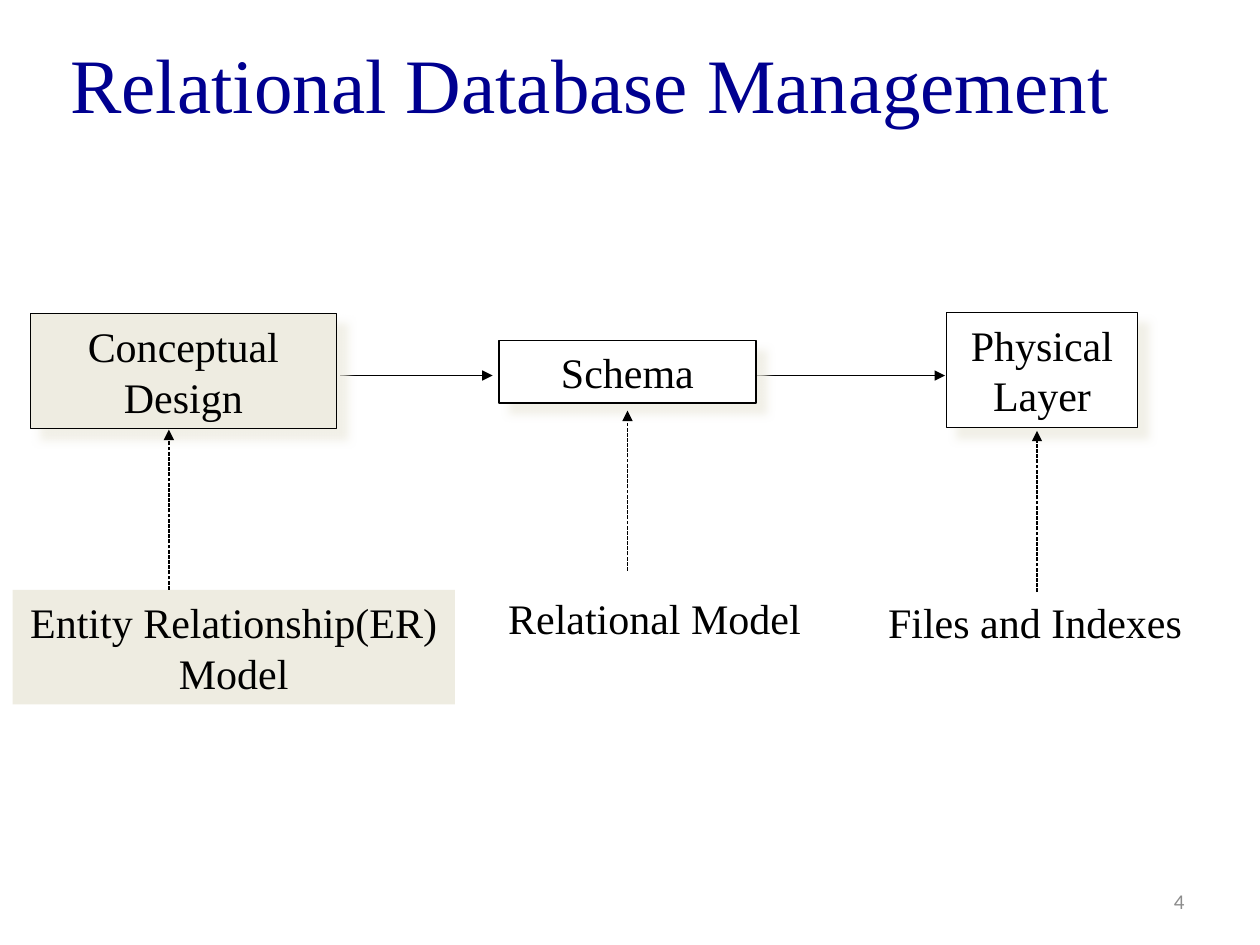
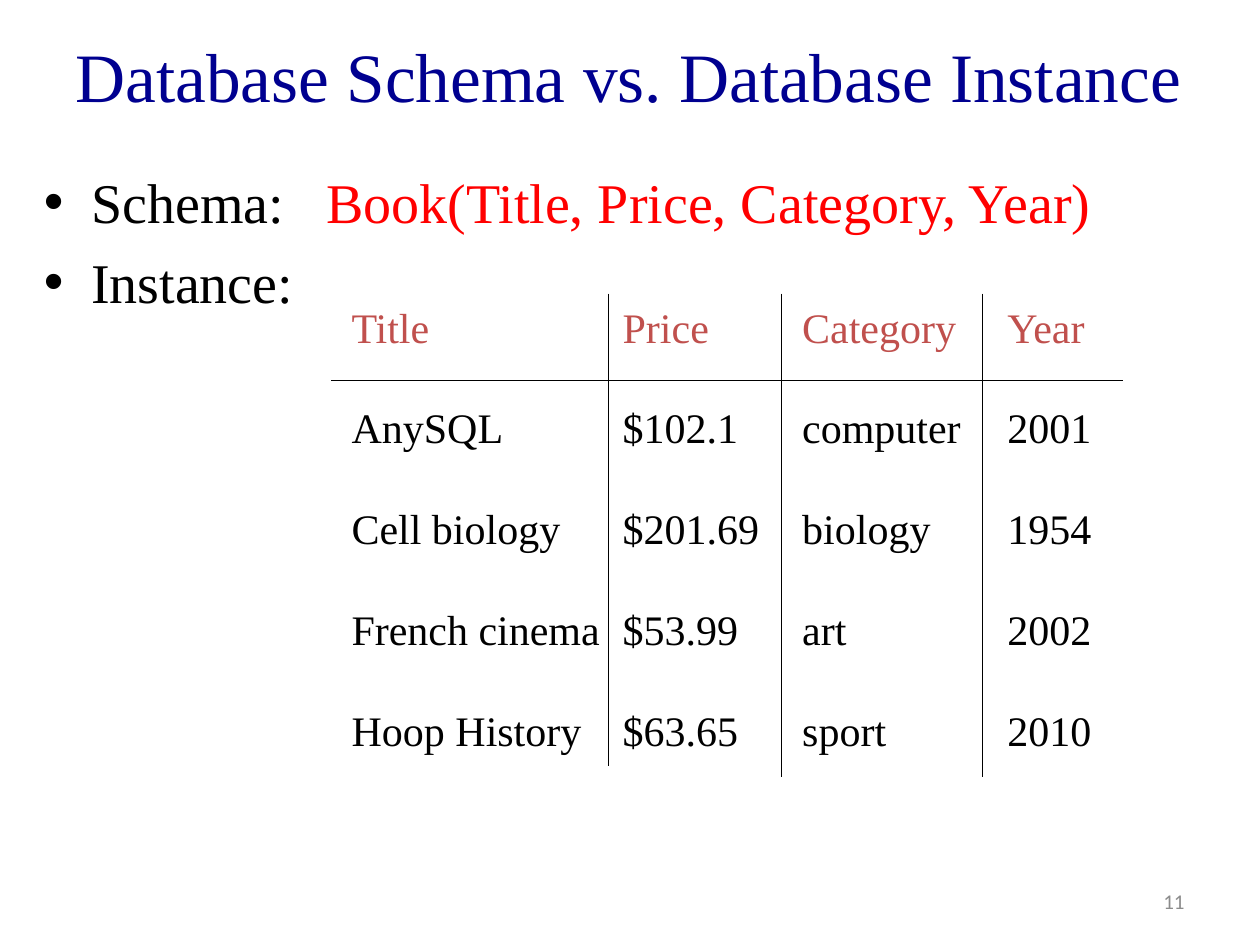
from lxml.etree import SubElement
from pptx import Presentation
from pptx.dml.color import RGBColor
from pptx.enum.dml import MSO_LINE
from pptx.enum.shapes import MSO_CONNECTOR, MSO_SHAPE
from pptx.enum.text import MSO_ANCHOR, MSO_AUTO_SIZE, PP_ALIGN
from pptx.oxml.ns import qn
from pptx.util import Pt

SERIF = "Times New Roman"
NAVY, BLACK, WHITE, BEIGE = "000090", "000000", "FFFFFF", "EEECE1"
RED, BRICK, GRAY = "FF0000", "C0504D", "8C8C8C"

STAGES = [
    ("Conceptual Design", 17.3, 179.3, 175, 65.5, BEIGE),
    ("Schema", 285.1, 194.4, 146.9, 36, WHITE),
    ("Physical Layer", 540.7, 178.6, 109.4, 65.5, WHITE),
]
MODELS = [
    ("Entity Relationship(ER) Model", 7.2, 337, 252.7, 65.5, BEIGE),
    ("Relational Model", 259.2, 334.8, 229.7, 36, WHITE),
    ("Files and Indexes", 476.6, 337, 229.7, 36, WHITE),
]
FLOW_ARROWS = [(194.4, 281.5), (432, 540)]
MODEL_ARROWS = [(96.5, 337, 245.5), (358.6, 326.2, 234.7), (592.6, 338.4, 246.2)]

BOOKS = [
    ("Title", "Price", "Category", "Year"),
    ("AnySQL", "$102.1", "computer", "2001"),
    ("Cell biology", "$201.69", "biology", "1954"),
    ("French cinema", "$53.99", "art", "2002"),
    ("Hoop History", "$63.65", "sport", "2010"),
]
COLUMN_EDGES = [189.4, 347.8, 446.4, 561.6, 641.5]
CELL_INDENTS = [11.5, 8, 12, 14]
TABLE_TOP, ROW_HEIGHT = 159.1, 57.6
HEADER_RULE, RULE_TOP = 217.4, 167.8
COLUMN_RULE_ENDS = [437.8, 444.2, 444.2]


def color(hex_code):
    """Turn a hex string into a colour."""
    return RGBColor.from_string(hex_code)


def format_run(run, size, hex_code, font=SERIF):
    """Set the font, size and colour of a run."""
    run.font.name = font
    run.font.size = Pt(size)
    run.font.color.rgb = color(hex_code)


def write(text_frame, text, size, hex_code, align=PP_ALIGN.LEFT, font=SERIF):
    """Fill a text frame with one vertically centred paragraph."""
    text_frame.text = text
    text_frame.word_wrap = True
    text_frame.vertical_anchor = MSO_ANCHOR.MIDDLE
    paragraph = text_frame.paragraphs[0]
    paragraph.alignment = align
    format_run(paragraph.runs[0], size, hex_code, font)


def add_titled_slide(presentation, title, title_box, size, number):
    """Add a slide with its title and page number."""
    slide = presentation.slides.add_slide(presentation.slide_layouts[5])
    shape = slide.shapes.title
    shape.left, shape.top, shape.width, shape.height = map(Pt, title_box)
    write(shape.text_frame, title, size, NAVY)
    shape.text_frame.auto_size = MSO_AUTO_SIZE.NONE
    footer = slide.shapes.add_textbox(Pt(516.2), Pt(500.4), Pt(167.8), Pt(28.8))
    write(footer.text_frame, str(number), 12, GRAY, PP_ALIGN.RIGHT, "Calibri")
    return slide


def add_shadow(shape):
    """Give a shape a soft beige shadow to the lower right."""
    effects = shape._element.spPr.find(qn("a:effectLst"))
    shadow = SubElement(effects, qn("a:outerShdw"), blurRad=str(Pt(5)),
                        dist=str(Pt(8.5)), dir="2700000", algn="tl", rotWithShape="0")
    tint = SubElement(shadow, qn("a:srgbClr"), val=BEIGE)
    SubElement(tint, qn("a:alpha"), val="75000")


def add_box(slide, text, left, top, width, height, fill, framed=False):
    """Add a filled rectangle with centred text, framed and shadowed on demand."""
    shape = slide.shapes.add_shape(
        MSO_SHAPE.RECTANGLE, Pt(left), Pt(top), Pt(width), Pt(height))
    shape.shadow.inherit = False
    shape.fill.solid()
    shape.fill.fore_color.rgb = color(fill)
    if framed:
        shape.line.color.rgb = color(BLACK)
        shape.line.width = Pt(0.75)
        add_shadow(shape)
    else:
        shape.line.fill.background()
    write(shape.text_frame, text, 24, BLACK, PP_ALIGN.CENTER)


def add_line(slide, start, end, arrow=False, dashed=False):
    """Add a thin black line, optionally dashed or with an arrowhead."""
    connector = slide.shapes.add_connector(
        MSO_CONNECTOR.STRAIGHT, *map(Pt, start + end))
    connector.line.color.rgb = color(BLACK)
    connector.line.width = Pt(0.75)
    if dashed:
        connector.line.dash_style = MSO_LINE.SQUARE_DOT
    if arrow:
        SubElement(connector.line._get_or_add_ln(), qn("a:tailEnd"), type="triangle")
    SubElement(connector._element.spPr, qn("a:effectLst"))


def add_bullet(paragraph, parts):
    """Write coloured parts as a bulleted line."""
    for text, hex_code in parts:
        run = paragraph.add_run()
        run.text = text
        format_run(run, 32, hex_code)
    paragraph.space_before = Pt(7.4)
    properties = paragraph._p.get_or_add_pPr()
    properties.set("marL", str(Pt(27)))
    properties.set("indent", str(Pt(-27)))
    SubElement(properties, qn("a:buFont"), typeface="Arial")
    SubElement(properties, qn("a:buChar"), char="•")


def add_definitions(slide):
    """Add the schema and instance bullets."""
    box = slide.shapes.add_textbox(Pt(18), Pt(92.2), Pt(687.6), Pt(437))
    text_frame = box.text_frame
    text_frame.word_wrap = True
    schema = text_frame.paragraphs[0]
    add_bullet(schema, [("Schema:", BLACK), (" ", BLACK),
                        ("Book(Title, Price, Category, Year)", RED)])
    schema.runs[1].font._element.set("spc", "1600")
    add_bullet(text_frame.add_paragraph(), [("Instance:", BLACK)])


def add_book_table(slide):
    """Add the table of books and its rules."""
    left, right = COLUMN_EDGES[0], COLUMN_EDGES[-1]
    table = slide.shapes.add_table(
        len(BOOKS), len(BOOKS[0]), Pt(left), Pt(TABLE_TOP),
        Pt(right - left), Pt(ROW_HEIGHT * len(BOOKS))).table
    table.first_row = table.horz_banding = False
    for column, start, end in zip(table.columns, COLUMN_EDGES, COLUMN_EDGES[1:]):
        column.width = Pt(end - start)
    for row_index, book in enumerate(BOOKS):
        for column_index, value in enumerate(book):
            cell = table.cell(row_index, column_index)
            cell.fill.background()
            cell.margin_left = Pt(CELL_INDENTS[column_index])
            cell.margin_right = 0
            cell.vertical_anchor = MSO_ANCHOR.MIDDLE
            cell.text = value
            run = cell.text_frame.paragraphs[0].runs[0]
            format_run(run, 24, BLACK if row_index else BRICK)
    add_line(slide, (left, HEADER_RULE), (right, HEADER_RULE))
    for edge, bottom in zip(COLUMN_EDGES[1:-1], COLUMN_RULE_ENDS):
        add_line(slide, (edge, RULE_TOP), (edge, bottom))


def add_design_flow(slide):
    """Add the design stages, their models and the arrows between them."""
    for start, end in FLOW_ARROWS:
        add_line(slide, (start, 214.6), (end, 214.6), arrow=True)
    for stage in STAGES:
        add_box(slide, *stage, framed=True)
    for model in reversed(MODELS):
        add_box(slide, *model)
    for x, bottom, top in MODEL_ARROWS:
        add_line(slide, (x, bottom), (x, top), arrow=True, dashed=True)


def main():
    """Build and save the presentation."""
    presentation = Presentation()
    presentation.slide_width, presentation.slide_height = Pt(720), Pt(540)
    management = add_titled_slide(
        presentation, "Relational Database Management", (33.1, 2.2, 648, 90), 44, 4)
    add_design_flow(management)
    comparison = add_titled_slide(
        presentation, "Database Schema vs. Database Instance",
        (36, 3.6, 669.6, 78.5), 39.6, 11)
    add_definitions(comparison)
    add_book_table(comparison)
    presentation.save("out.pptx")


if __name__ == "__main__":
    main()
